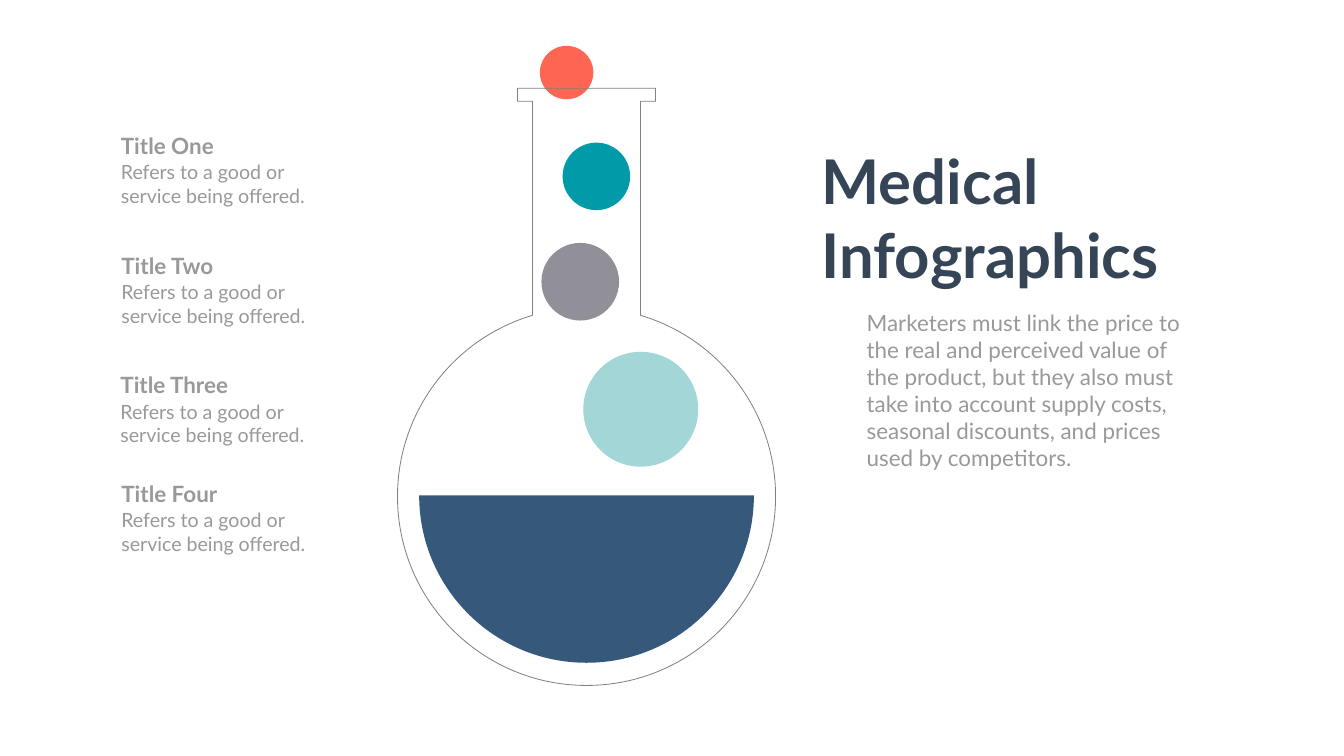
"""Build a medical infographic slide: a round flask with bubbles, four captions and a summary."""
import math

import pptx
import pptx.dml.color
import pptx.enum.shapes
import pptx.enum.text
import pptx.oxml
import pptx.oxml.ns
import pptx.util
from pptx.util import Inches

THEME = {
    "font": "Lato",
    "heading": "364556", "text": "999999", "glass": "808080", "liquid": "36597B",
    "heading_size": 88, "title_size": 32, "caption_size": 28, "glass_width": 1.16,
}
HEADING = ["Medical", "Infographics"]
SUMMARY = [
    "Marketers must link the price to the real and perceived value of the product, "
    "but they also must take into account supply costs, seasonal discounts, "
    "and prices used by competitors."
]
CAPTION = ["Refers to a good or", "service being offered."]
CAPTION_TITLES = [
    ("Title One", 2.3, 2.57, 2.07),
    ("Title Two", 2.31, 4.95, 2.1),
    ("Title Three", 2.29, 7.32, 2.38),
    ("Title Four", 2.31, 9.47, 2.14),
]
CAPTION_WIDTH, CAPTION_DROP = 3.93, 0.56

TOP_BUBBLE = (11.24, 1.44, 1.06, "FE6653")
FLASK_BUBBLES = [
    (12.71, 8.12, 2.28, "A3D7D7"),
    (11.51, 5.59, 1.54, "919098"),
    (11.83, 3.5, 1.34, "009AA8"),
]
FLASK_X, FLASK_Y, FLASK_RADIUS = 11.635, 9.85, 3.75
LIQUID_Y, LIQUID_RADIUS = 9.83, 3.32
NECK_HALF, LIP_HALF, LIP_TOP, LIP_BOTTOM = 1.07, 1.37, 1.75, 2.01


def color(name):
    return pptx.dml.color.RGBColor.from_string(THEME.get(name, name))


def paint(shape, fill=None):
    shape.shadow.inherit = False
    if fill:
        shape.fill.solid()
        shape.fill.fore_color.rgb = color(fill)
        shape.line.fill.background()
    else:
        shape.fill.background()
        shape.line.color.rgb = color("glass")
        shape.line.width = pptx.util.Pt(THEME["glass_width"])


def arc_controls(center_y, radius, start, end):
    """Return the two control points and the end point of a circular arc."""
    pull = 4 / 3 * math.tan((end - start) / 4)
    return [
        (
            FLASK_X + radius * (math.cos(angle) - reach * math.sin(angle)),
            center_y + radius * (math.sin(angle) + reach * math.cos(angle)),
        )
        for angle, reach in ((start, pull), (end, -pull), (end, 0))
    ]


def add_round_outline(slide, center_y, radius, angles, corners=(), fill=None):
    """Draw arcs through the angles, then straight lines through the corners."""
    rim = [(FLASK_X + radius * math.cos(a), center_y + radius * math.sin(a)) for a in angles]
    points = [(Inches(x), Inches(y)) for x, y in rim + list(corners)]
    builder = slide.shapes.build_freeform(*points[0])
    builder.add_line_segments(points[1:], close=True)
    outline = builder.convert_to_shape()
    segments = list(outline._element.iter(pptx.oxml.ns.qn("a:lnTo")))
    for segment, start, end in zip(segments, angles, angles[1:]):
        stops = "".join(
            f'<a:pt x="{Inches(x) - outline.left}" y="{Inches(y) - outline.top}"/>'
            for x, y in arc_controls(center_y, radius, start, end)
        )
        curve = f"<a:cubicBezTo {pptx.oxml.ns.nsdecls('a')}>{stops}</a:cubicBezTo>"
        segment.getparent().replace(segment, pptx.oxml.parse_xml(curve))
    paint(outline, fill)


def add_bubble(slide, x, y, diameter, fill):
    corner = Inches(x - diameter / 2), Inches(y - diameter / 2)
    oval = pptx.enum.shapes.MSO_SHAPE.OVAL
    paint(slide.shapes.add_shape(oval, *corner, Inches(diameter), Inches(diameter)), fill)


def add_flask(slide):
    add_bubble(slide, *TOP_BUBBLE)
    half_turn = math.pi / 2
    shoulder = math.asin(NECK_HALF / FLASK_RADIUS)
    bowl = [shoulder - half_turn, 0, half_turn, math.pi, 3 * half_turn - shoulder]
    profile = [(NECK_HALF, LIP_BOTTOM), (LIP_HALF, LIP_BOTTOM), (LIP_HALF, LIP_TOP)]
    neck = [(FLASK_X - half, y) for half, y in profile]
    neck += [(FLASK_X + half, y) for half, y in reversed(profile)]
    add_round_outline(slide, FLASK_Y, FLASK_RADIUS, bowl, neck)
    add_round_outline(slide, LIQUID_Y, LIQUID_RADIUS, [0, half_turn, math.pi], fill="liquid")
    for bubble in FLASK_BUBBLES:
        add_bubble(slide, *bubble)


def write(box, lines, size, ink="text", bold=False, wrap=False):
    frame = box.text_frame
    frame.word_wrap = wrap
    frame.auto_size = pptx.enum.text.MSO_AUTO_SIZE.NONE
    frame.vertical_anchor = pptx.enum.text.MSO_ANCHOR.TOP
    frame.text = "\n".join(lines)
    for paragraph in frame.paragraphs:
        paragraph.alignment = pptx.enum.text.PP_ALIGN.LEFT
        paragraph.space_before = pptx.util.Pt(0)
        font = paragraph.font
        font.name, font.size, font.bold = THEME["font"], pptx.util.Pt(THEME[size]), bold
        font.color.rgb = color(ink)


def place(box, left, top, width, height):
    box.left, box.top, box.width, box.height = map(Inches, (left, top, width, height))


def remove_bullets(box):
    for paragraph in box.text_frame.paragraphs:
        properties = paragraph._p.get_or_add_pPr()
        properties.set("marL", "0")
        properties.set("indent", "0")
        bullet = pptx.oxml.parse_xml(f"<a:buNone {pptx.oxml.ns.nsdecls('a')}/>")
        properties.insert_element_before(bullet, "a:tabLst", "a:defRPr", "a:extLst")


def add_caption(slide, left, top, width, height, lines, size, bold=False):
    box = slide.shapes.add_textbox(*map(Inches, (left, top, width, height)))
    write(box, lines, size, bold=bold)


def main():
    deck = pptx.Presentation()
    deck.slide_width, deck.slide_height = Inches(26.66), Inches(15)
    slide = deck.slides.add_slide(deck.slide_layouts[1])

    add_flask(slide)
    heading, summary = slide.placeholders
    place(summary, 17.09, 6.09, 6.46, 3.33)
    write(summary, SUMMARY, "title_size", wrap=True)
    remove_bullets(summary)
    place(heading, 16.2, 2.78, 7.06, 3.06)
    write(heading, HEADING, "heading_size", "heading", bold=True)

    for title, left, top, width in CAPTION_TITLES:
        add_caption(slide, left, top + CAPTION_DROP, CAPTION_WIDTH, 1.04, CAPTION, "caption_size")
        add_caption(slide, left, top, width, 0.64, [title], "title_size", bold=True)
    deck.save("out.pptx")


if __name__ == "__main__":
    main()
